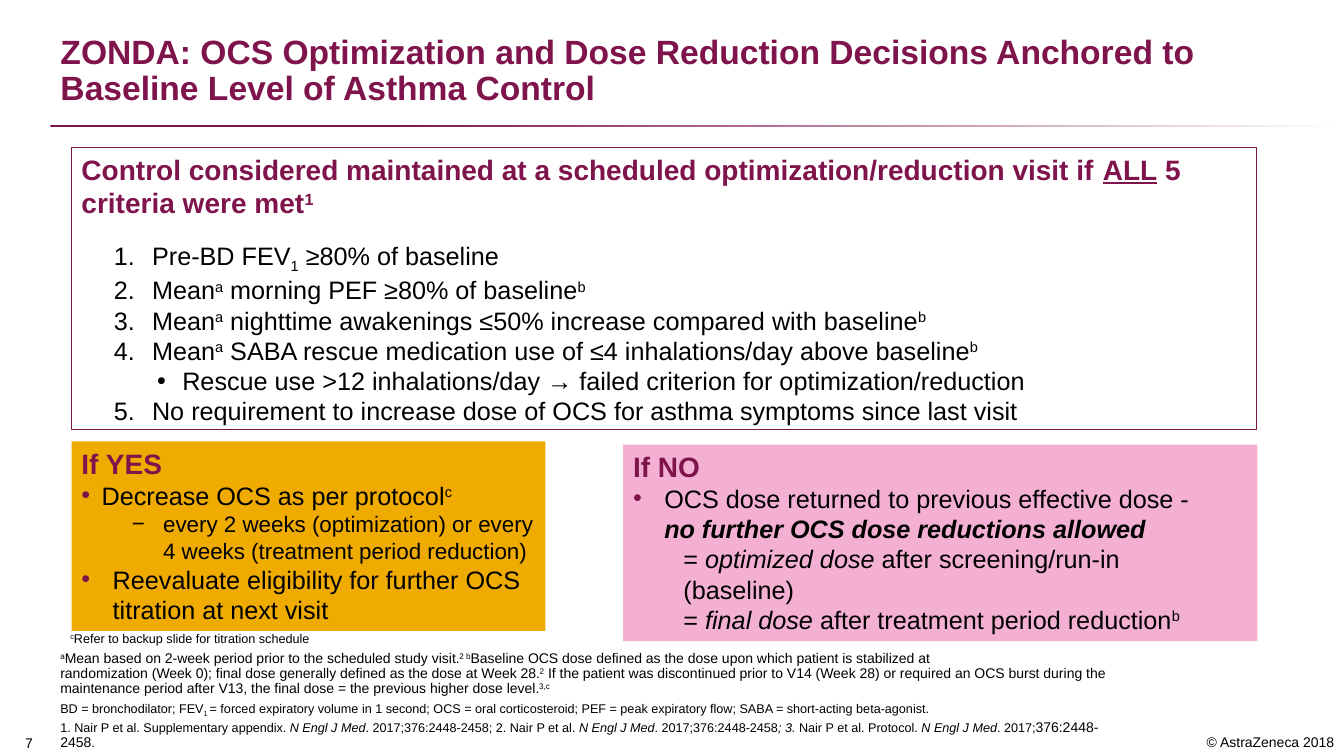
import pptx
import pptx.util
import pptx.dml.color
import pptx.enum.shapes
import pptx.enum.text
import pptx.oxml.ns
from lxml import etree

Inches = pptx.util.Inches
Pt = pptx.util.Pt
ANCHOR = pptx.enum.text.MSO_ANCHOR
ALIGN = pptx.enum.text.PP_ALIGN
COLORS = {
    "plum": "7F134C",
    "black": "000000",
    "white": "FFFFFF",
    "gold": "F0AB00",
    "pink": "EC80B9",
}
BASELINES = {"^": "30000", "_": "-25000"}


def color(name):
    return pptx.dml.color.RGBColor.from_string(COLORS[name])


def add_node(parent, tag, **attributes):
    return etree.SubElement(parent, pptx.oxml.ns.qn(tag), **attributes)


class SlideBuilder:
    def __init__(self, deck):
        self.font = "Arial"
        self.page = deck.slides.add_slide(deck.slide_layouts[5])

    def title(self, place, text):
        box = self.page.shapes.title
        box.left, box.top, box.width, box.height = map(Inches, place)
        frame = self.frame(box, ANCHOR.BOTTOM)
        self.para(frame, [text], 24, "plum", bold=True, line=0.9)

    def text(self, place, anchor=ANCHOR.TOP):
        box = self.page.shapes.add_textbox(*map(Inches, place))
        return self.frame(box, anchor)

    def panel(self, place, fill=None, line=None, opacity=None):
        box = self.page.shapes.add_shape(
            pptx.enum.shapes.MSO_SHAPE.RECTANGLE, *map(Inches, place))
        box.shadow.inherit = False
        if fill:
            box.fill.solid()
            box.fill.fore_color.rgb = color(fill)
        else:
            box.fill.background()
        if opacity:
            shade = box._element.spPr.find(".//" + pptx.oxml.ns.qn("a:srgbClr"))
            add_node(shade, "a:alpha", val=str(opacity * 1000))
        if line:
            box.line.color.rgb = color(line)
            box.line.width = Pt(0.75)
        else:
            box.line.fill.background()
        return box

    def fading_rule(self, place, start, end):
        rule = self.panel(place)
        rule.fill.gradient()
        rule.fill.gradient_angle = 0
        for stop, name, position in zip(
                rule.fill.gradient_stops, (start, end), (0.26, 1)):
            stop.color.rgb = color(name)
            stop.position = position

    def frame(self, box, anchor=ANCHOR.TOP):
        frame = box.text_frame
        frame.word_wrap = True
        frame.auto_size = pptx.enum.text.MSO_AUTO_SIZE.NONE
        frame.vertical_anchor = anchor
        return frame

    def para(self, frame, spans, size, shade="black", bold=False, level=0,
             indent=None, bullet=None, bullet_color=None, before=0, line=None,
             align=ALIGN.LEFT):
        first = frame.paragraphs[0]
        para = frame.add_paragraph() if first.runs else first
        para.level = level
        para.alignment = align
        para.space_before = Pt(before)
        if line:
            para.line_spacing = line
        properties = para._p.get_or_add_pPr()
        if indent:
            properties.set("marL", str(Inches(indent[0])))
            properties.set("indent", str(Inches(indent[1])))
        if bullet_color:
            add_node(add_node(properties, "a:buClr"), "a:srgbClr",
                     val=COLORS[bullet_color])
        if bullet == "1.":
            add_node(properties, "a:buFont", typeface=self.font)
            add_node(properties, "a:buAutoNum", type="arabicPeriod")
        elif bullet:
            add_node(properties, "a:buFont", typeface=self.font)
            add_node(properties, "a:buChar", char=bullet)
        else:
            add_node(properties, "a:buNone")
        para.font.name = self.font
        para.font.size = Pt(size)
        para.font.bold = bold
        para.font.color.rgb = color(shade)
        for item in spans:
            if item == "\n":
                para.add_line_break()
                continue
            text, style = (item, "") if isinstance(item, str) else item
            span = para.add_run()
            span.text = text
            if "b" in style:
                span.font.bold = True
            if "i" in style:
                span.font.italic = True
            if "u" in style:
                span.font.underline = True
            if "+" in style:
                span.font.size = Pt(size + 1)
            for mark, offset in BASELINES.items():
                if mark in style:
                    span._r.get_or_add_rPr().set("baseline", offset)
        return para


def main():
    deck = pptx.Presentation()
    deck.slide_width, deck.slide_height = Inches(13.33), Inches(7.5)
    slide = SlideBuilder(deck)

    copyright_line = slide.text((11.11, 7.23, 2.22, 0.27))
    slide.para(copyright_line, ["© AstraZeneca 2018"], 10, align=ALIGN.RIGHT)
    slide.fading_rule((0.5, 1.24, 12.83, 0.02), "plum", "white")
    slide.title((0.5, 0.25, 12.33, 0.87),
                "ZONDA: OCS Optimization and Dose Reduction Decisions "
                "Anchored to Baseline Level of Asthma Control")
    number = slide.text((0, 7.21, 0.53, 0.29), ANCHOR.BOTTOM)
    number.margin_right = Inches(0.05)
    slide.para(number, ["7"], 10, align=ALIGN.CENTER)

    a, b, c = ("a", "^"), ("b", "^"), ("c", "^")
    journal = ("N Engl J Med", "i")
    notes = slide.text((0.5, 6.4, 10.78, 1.1), ANCHOR.BOTTOM)
    for size, before, spans in [
        (10, 0, [a, "Mean based on 2-week period prior to the scheduled study visit.",
                 ("2 b", "^"),
                 "Baseline OCS dose defined as the dose upon which patient is stabilized at"]),
        (10, 0, ["randomization (Week 0); final dose generally defined as the dose at Week 28.",
                 ("2", "^"),
                 " If the patient was discontinued prior to V14 (Week 28) or required an OCS "
                 "burst during the maintenance period after V13, the final dose = the previous "
                 "higher dose level.", ("3,c", "^")]),
        (9, 3, ["BD = bronchodilator; FEV", ("1 ", "_"),
                "= forced expiratory volume in 1 second; OCS = oral corticosteroid; "
                "PEF = peak expiratory flow; SABA = short-acting beta-agonist."]),
        (9, 3, ["1. Nair P et al. Supplementary appendix. ", journal,
                ". 2017;376:2448-2458; 2. Nair P et al. ", journal,
                ". 2017;376:2448-2458", ("; 3.", "i"), " Nair P et al. Protocol. ",
                journal, ". 2017;", ("376:2448-2458", "+"), "."]),
    ]:
        slide.para(notes, spans, size, before=before, line=0.9)

    criteria = slide.frame(slide.panel((0.71, 1.46, 11.75, 2.8), line="plum"))
    slide.para(criteria, [
        "Control considered maintained at a scheduled optimization/reduction visit if ",
        ("ALL", "u"), " 5 criteria were met", ("1", "^")], 20, "plum", bold=True)
    numbered = dict(level=1, indent=(0.7, -0.38), bullet="1.")
    nested = dict(level=2, indent=(1, -0.25), bullet="•")
    for before, layout, spans in [
        (15, numbered, ["Pre-BD FEV", ("1", "_"), " ≥80% of baseline"]),
        (0, numbered, ["Mean", a, " morning PEF ≥80% of baseline", b]),
        (0, numbered, ["Mean", a,
                       " nighttime awakenings ≤50% increase compared with baseline", b]),
        (0, numbered, ["Mean", a, " SABA rescue medication use of ≤4 inhalations/day "
                       "above baseline", b]),
        (0, nested, ["Rescue use >12 inhalations/day → failed criterion for "
                     "optimization/reduction"]),
        (0, numbered, ["No requirement to increase dose of OCS for asthma symptoms "
                       "since last visit"]),
    ]:
        slide.para(criteria, spans, 18, before=before, **layout)

    dot = dict(bullet="•", bullet_color="plum")
    yes = slide.frame(slide.panel((0.71, 4.38, 4.7, 1.88), fill="gold"))
    slide.para(yes, ["If YES"], 20, "plum", bold=True)
    slide.para(yes, ["Decrease OCS as per protocol", c], 18, indent=(0.2, -0.2), **dot)
    slide.para(yes, ["every 2 weeks (optimization) or every 4 weeks "
                     "(treatment period reduction)"],
               16, level=1, indent=(0.81, -0.31), bullet="−")
    slide.para(yes, ["Reevaluate eligibility for further OCS titration at next visit"],
               18, level=1, indent=(0.31, -0.31), **dot)

    no = slide.frame(slide.panel((6.18, 4.41, 6.29, 1.95), fill="pink", opacity=62))
    slide.para(no, ["If NO"], 20, "plum", bold=True)
    slide.para(no, ["OCS dose returned to previous effective dose -", "\n",
                    ("no further OCS dose reductions allowed", "bi")],
               18, indent=(0.31, -0.31), **dot)
    for spans in [
        ["= ", ("optimized dose ", "i"), "after screening/run-in", "\n", "(baseline)"],
        ["= ", ("final dose ", "i"), "after treatment period reduction", b],
    ]:
        slide.para(no, spans, 18, level=1, indent=(0.5, 0))

    schedule = slide.text((0.6, 6.21, 2.96, 0.25))
    slide.para(schedule, [c, "Refer to backup slide for titration schedule"], 9)
    deck.save("out.pptx")


if __name__ == "__main__":
    main()
